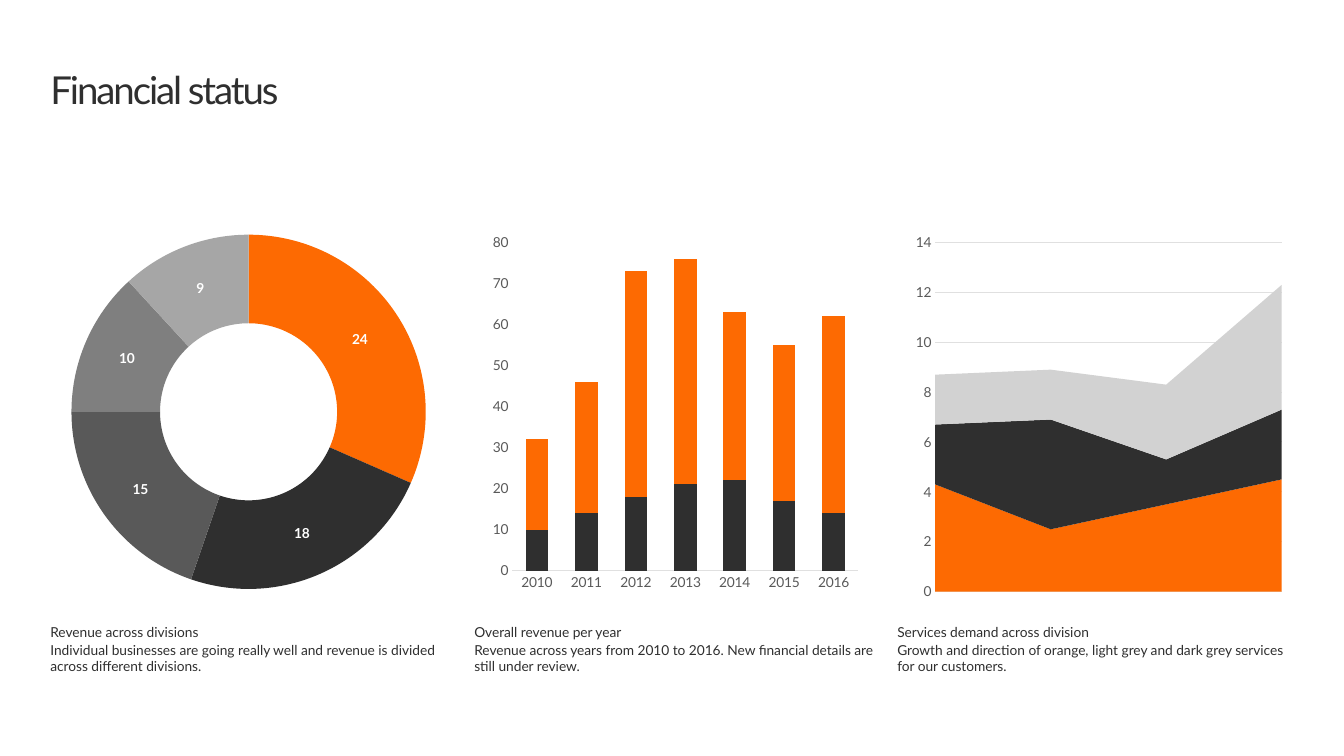
from lxml.etree import SubElement
from pptx import Presentation
from pptx.chart.data import CategoryChartData
from pptx.dml.color import RGBColor
from pptx.enum.chart import XL_CHART_TYPE as ChartType, XL_TICK_MARK as TickMark
from pptx.oxml.ns import qn
from pptx.util import Inches, Pt

FONT = "Lato"
ORANGE, DARK, LIGHT = "FD6A02", "2F2F2F", "D2D2D2"
AXIS_TEXT, AXIS_LINE, WHITE = "595959", "E0E0E0", "FFFFFF"
DIVISION_COLORS = [ORANGE, DARK, "595959", "7F7F7F", "A6A6A6"]

COLUMN_LEFTS = [0.51, 4.8, 9.08]
COLUMN_WIDTH = 4.04
CHART_TOP, CHART_HEIGHT = 2.21, 3.94
HEADING_TOP, DETAIL_TOP = 6.31, 6.49

CAPTIONS = [
    ("Revenue across divisions",
     "Individual businesses are going really well and revenue is divided across different divisions."),
    ("Overall revenue per year",
     "Revenue across years from 2010 to 2016. New financial details are still under review."),
    ("Services demand across division",
     "Growth and direction of orange, light grey and dark grey services for our customers."),
]


def color(hex_string):
    return RGBColor.from_string(hex_string)


def style_font(font, size, hex_string, bold=False):
    font.name = FONT
    font.size = Pt(size)
    font.bold = bold
    font.color.rgb = color(hex_string)


def fill_solid(chart_format, hex_string):
    chart_format.fill.solid()
    chart_format.fill.fore_color.rgb = color(hex_string)


def add_text(slide, text, left, top, width, height, size=10, line_spacing=12, tracking=0):
    box = slide.shapes.add_textbox(Inches(left), Inches(top), Inches(width), Inches(height))
    frame = box.text_frame
    frame.word_wrap = True
    frame.margin_left = frame.margin_top = frame.margin_right = frame.margin_bottom = 0
    paragraph = frame.paragraphs[0]
    paragraph.line_spacing = Pt(line_spacing)
    run = paragraph.add_run()
    run.text = text
    style_font(run.font, size, DARK)
    if tracking:
        run.font._element.set("spc", str(int(tracking * 100)))


def set_plot_layout(chart, x, y, width, height):
    """Place the inner plot area, in fractions of the chart."""
    plot_area = chart._chartSpace.chart.plotArea
    for old_layout in plot_area.findall(qn("c:layout")):
        plot_area.remove(old_layout)
    layout = SubElement(plot_area, qn("c:layout"))
    plot_area.insert(0, layout)
    manual = SubElement(layout, qn("c:manualLayout"))
    settings = [("layoutTarget", "inner"), ("xMode", "edge"), ("yMode", "edge"),
                ("x", x), ("y", y), ("w", width), ("h", height)]
    for name, value in settings:
        SubElement(manual, qn(f"c:{name}")).set("val", str(value))


def add_chart(slide, chart_type, left, categories, series_values, plot_layout):
    data = CategoryChartData()
    data.categories = categories
    for number, values in enumerate(series_values, start=1):
        data.add_series(f"Series {number}", values)
    chart = slide.shapes.add_chart(
        chart_type, Inches(left), Inches(CHART_TOP),
        Inches(COLUMN_WIDTH), Inches(CHART_HEIGHT), data).chart
    chart.has_title = False
    chart.has_legend = False
    style_font(chart.font, 10, DARK)
    set_plot_layout(chart, *plot_layout)
    return chart


def color_series(chart, colors):
    chart.plots[0].vary_by_categories = False
    for series, hex_string in zip(chart.plots[0].series, colors):
        fill_solid(series.format, hex_string)


def style_value_axis(axis, maximum, step, gridlines):
    axis.minimum_scale, axis.maximum_scale, axis.major_unit = 0, maximum, step
    axis.major_tick_mark = axis.minor_tick_mark = TickMark.NONE
    axis.format.line.fill.background()
    style_font(axis.tick_labels.font, 10, AXIS_TEXT)
    axis.has_major_gridlines = gridlines
    if gridlines:
        style_line(axis.major_gridlines.format.line)


def style_line(line):
    line.color.rgb = color(AXIS_LINE)
    line.width = Pt(0.75)


def add_division_doughnut(slide, left):
    chart = add_chart(slide, ChartType.DOUGHNUT, left, ["1", "2", "3", "4", "5"],
                      [[24, 18, 15, 10, 9]], (0.052, 0.042, 0.889, 0.91))
    plot = chart.plots[0]
    for index, hex_string in enumerate(DIVISION_COLORS):
        fill_solid(plot.series[0].points[index].format, hex_string)
    plot.has_data_labels = True
    labels = plot.data_labels
    labels.show_value = True
    labels.show_percentage = False
    style_font(labels.font, 10, WHITE, bold=True)


def add_revenue_columns(slide, left):
    chart = add_chart(slide, ChartType.COLUMN_STACKED, left,
                      [str(year) for year in range(2010, 2017)],
                      [[10, 14, 18, 21, 22, 17, 14], [22, 32, 55, 55, 41, 38, 48]],
                      (0.095, 0.062, 0.867, 0.843))
    color_series(chart, [DARK, ORANGE])
    chart.plots[0].gap_width = 119
    chart.plots[0].overlap = 100
    style_value_axis(chart.value_axis, 80, 10, gridlines=False)
    years = chart.category_axis
    years.major_tick_mark = years.minor_tick_mark = TickMark.NONE
    style_line(years.format.line)
    style_font(years.tick_labels.font, 10, AXIS_TEXT)


def add_demand_areas(slide, left):
    chart = add_chart(slide, ChartType.AREA_STACKED, left, ["1", "2", "3", "4"],
                      [[4.3, 2.5, 3.5, 4.5], [2.4, 4.4, 1.8, 2.8], [2, 2, 3, 5]],
                      (0.095, 0.062, 0.868, 0.897))
    color_series(chart, [ORANGE, DARK, LIGHT])
    style_value_axis(chart.value_axis, 14, 2, gridlines=True)
    chart.category_axis.visible = False
    # Let the areas run from edge to edge
    for crossing in chart._chartSpace.iter(qn("c:crossBetween")):
        crossing.set("val", "midCat")


def main():
    presentation = Presentation()
    presentation.slide_width = Inches(13.6)
    presentation.slide_height = Inches(7.65)
    slide = presentation.slides.add_slide(presentation.slide_layouts[6])

    # Title
    add_text(slide, "Financial status", COLUMN_LEFTS[0], 0.69, 12.61, 0.45,
             size=28, line_spacing=32, tracking=-1.5)

    # Charts with their captions
    chart_builders = [add_division_doughnut, add_revenue_columns, add_demand_areas]
    for left, build_chart, (heading, detail) in zip(COLUMN_LEFTS, chart_builders, CAPTIONS):
        build_chart(slide, left)
        add_text(slide, heading, left, HEADING_TOP, COLUMN_WIDTH, 0.17)
        add_text(slide, detail, left, DETAIL_TOP, COLUMN_WIDTH, 0.34)

    presentation.save("out.pptx")


if __name__ == "__main__":
    main()
